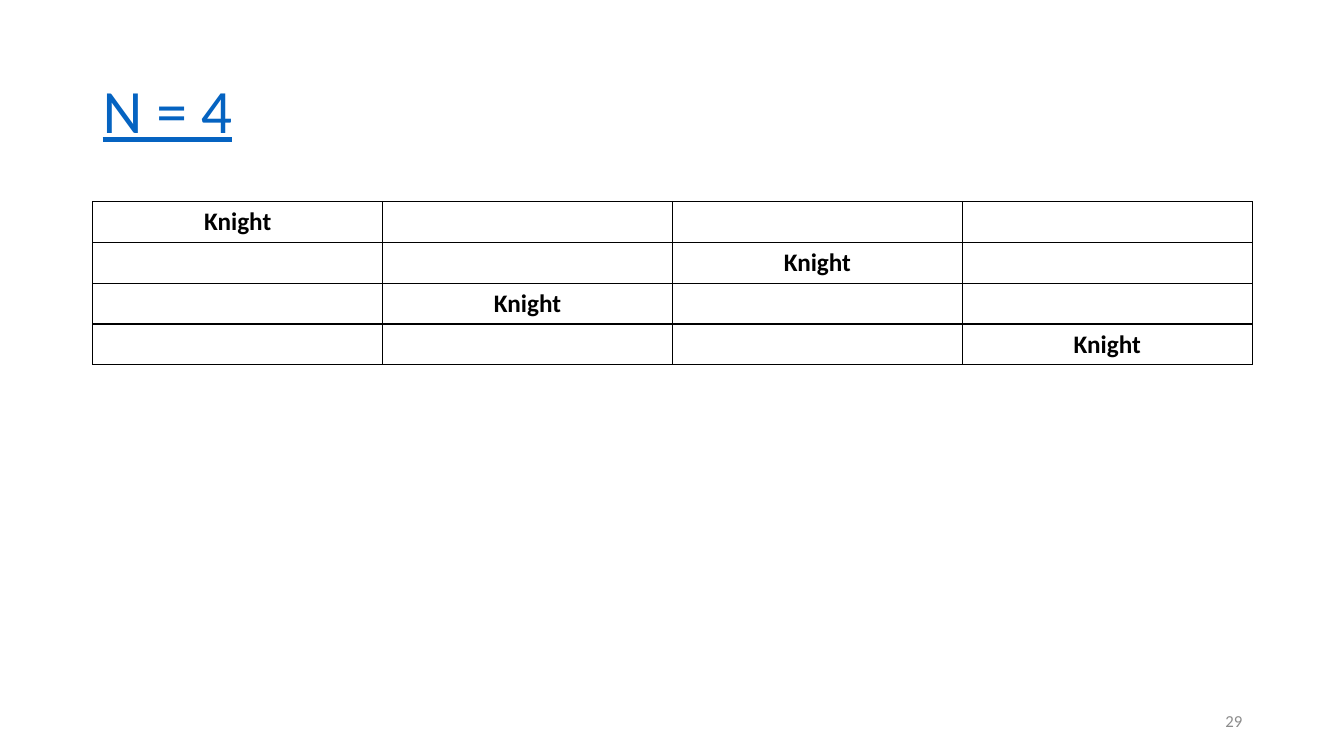
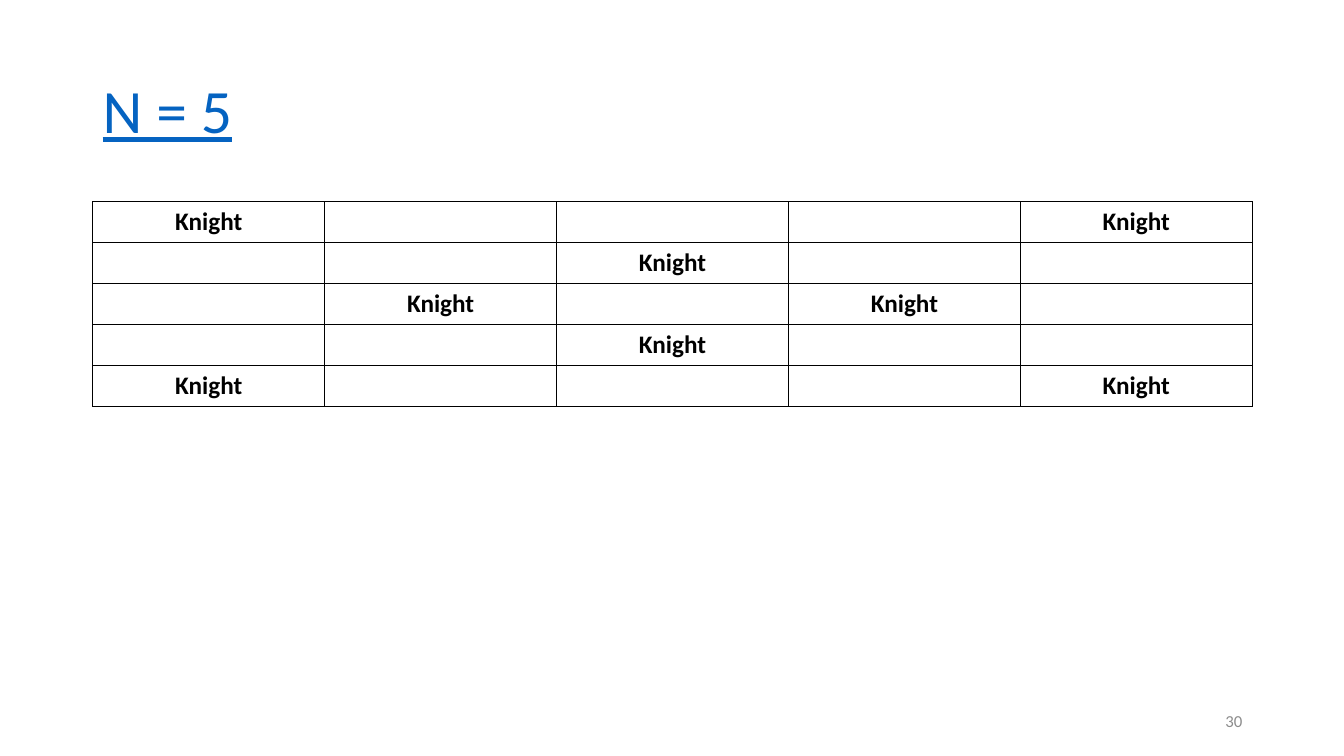
from dataclasses import dataclass

from lxml.etree import SubElement
from pptx import Presentation
from pptx.dml.color import RGBColor
from pptx.enum.text import MSO_ANCHOR, PP_ALIGN
from pptx.oxml.ns import qn
from pptx.util import Inches, Pt


@dataclass(frozen=True)
class Theme:
    font: str = "Calibri"
    title_color: str = "0563C1"
    ink: str = "000000"
    muted: str = "8C8C8C"
    paper: str = "FFFFFF"
    title_size: int = 44
    cell_size: int = 18
    number_size: int = 12
    border_width: int = 1


@dataclass(frozen=True)
class Board:
    page: int
    size: int
    height: float
    knights: tuple[tuple[int, int], ...]  # (row, column)


THEME = Theme()
LEFT, WIDTH = 0.92, 11.5
BOARDS = (
    Board(29, 4, 1.62, ((0, 0), (1, 2), (2, 1), (3, 3))),
    Board(30, 5, 2.03, ((0, 0), (0, 4), (1, 2), (2, 1), (2, 3), (3, 2), (4, 0), (4, 4))),
)


def write(tf, text: str, *, size: int, color: str, bold: bool = False,
          underline: bool = False, align=PP_ALIGN.LEFT, spacing: float = 1.0) -> None:
    p = tf.paragraphs[0]
    p.alignment = align
    p.line_spacing = spacing
    r = p.add_run()
    r.text = text
    r.font.name = THEME.font
    r.font.size = Pt(size)
    r.font.bold = bold
    r.font.underline = underline
    r.font.color.rgb = RGBColor.from_string(color)


def add_text(s, text: str, left: float, top: float, width: float, height: float,
             **text_format) -> None:
    sp = s.shapes.add_textbox(Inches(left), Inches(top), Inches(width), Inches(height))
    tf = sp.text_frame
    tf.word_wrap = True
    tf.vertical_anchor = MSO_ANCHOR.MIDDLE
    write(tf, text, **text_format)


def set_borders(cell) -> None:
    """Draw all four sides; must precede the cell fill in the XML."""
    props = cell._tc.get_or_add_tcPr()
    for side in ("lnL", "lnR", "lnT", "lnB"):
        line = SubElement(props, qn(f"a:{side}"), w=str(Pt(THEME.border_width)))
        fill = SubElement(line, qn("a:solidFill"))
        SubElement(fill, qn("a:srgbClr"), val=THEME.ink)


def add_board(s, board: Board) -> None:
    table = s.shapes.add_table(board.size, board.size, Inches(LEFT), Inches(2),
                               Inches(WIDTH), Inches(board.height)).table
    table.first_row = False
    table.horz_banding = False
    for cell in table.iter_cells():
        set_borders(cell)
        cell.fill.solid()
        cell.fill.fore_color.rgb = RGBColor.from_string(THEME.paper)
    for row, column in board.knights:
        write(table.cell(row, column).text_frame, "Knight", size=THEME.cell_size,
              color=THEME.ink, bold=True, align=PP_ALIGN.CENTER)


def add_board_slide(prs, board: Board) -> None:
    s = prs.slides.add_slide(prs.slide_layouts[6])
    add_text(s, f"N = {board.size}", LEFT, 0.4, WIDTH, 1.45, size=THEME.title_size,
             color=THEME.title_color, underline=True, spacing=0.9)
    add_board(s, board)
    add_text(s, str(board.page), 9.42, 6.95, 3, 0.4, size=THEME.number_size,
             color=THEME.muted, align=PP_ALIGN.RIGHT)


def main() -> None:
    prs = Presentation()
    prs.slide_width, prs.slide_height = Inches(13.33), Inches(7.5)
    for board in BOARDS:
        add_board_slide(prs, board)
    prs.save("out.pptx")


if __name__ == "__main__":
    main()
